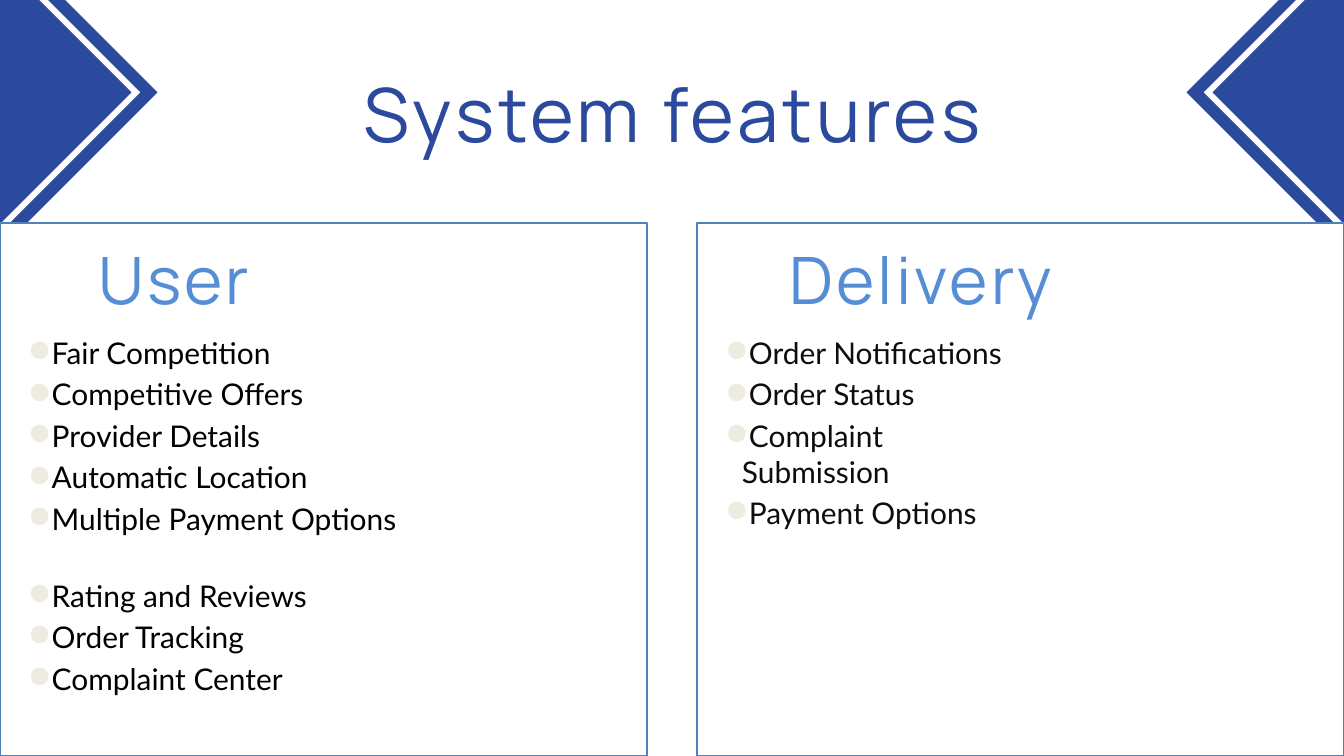
from lxml.etree import SubElement
from pptx import Presentation
from pptx.dml.color import RGBColor
from pptx.enum.shapes import MSO_SHAPE as Shape
from pptx.enum.text import PP_ALIGN as Align
from pptx.oxml.ns import qn
from pptx.util import Pt

PX = 9525
WIDTH, HEIGHT = 1920, 1080
NAVY, SKY, BORDER, WHITE = "2B4A9D", "558ED5", "4F81BD", "FFFFFF"
BULLET = "EEECE1"

TITLE = "System features"
CORNER_CENTERS = [(-4, 132), (1924, 132)]
SQUARE, FRAME, FRAME_BAND = 324, 289, 0.03
PANEL_TOP, PANEL_WIDTH = 318, 924
HEADING_TOP, LIST_TOP, INSET = 356, 478, 35
GAP, GROUP_GAP = 6, 44

PANELS = [
    {
        "left": WIDTH - PANEL_WIDTH, "heading": "Delivery", "color": "0D0D0D",
        "heading_width": 569, "list_size": (427, 282),
        "groups": [["Order Notifications", "Order Status",
                    "Complaint Submission", "Payment Options"]],
    },
    {
        "left": 0, "heading": "User", "color": "000000",
        "heading_width": 427, "list_size": (630, 521),
        "groups": [["Fair Competition", "Competitive Offers", "Provider Details",
                    "Automatic Location", "Multiple Payment Options"],
                   ["Rating and Reviews", "Order Tracking", "Complaint Center"]],
    },
]


def rgb(color):
    return RGBColor.from_string(color)


def add_block(page, kind, left, top, width, height, fill, line=None):
    block = page.shapes.add_shape(kind, *(round(v * PX) for v in (left, top, width, height)))
    block.shadow.inherit = False
    block.fill.solid()
    block.fill.fore_color.rgb = rgb(fill)
    if line:
        block.line.color.rgb = rgb(line)
        block.line.width = Pt(2)
    else:
        block.line.fill.background()
    return block


def add_corner(page, x, y):
    for kind, side, color in [(Shape.RECTANGLE, SQUARE, NAVY), (Shape.FRAME, FRAME, WHITE)]:
        block = add_block(page, kind, x - side / 2, y - side / 2, side, side, color)
        block.rotation = 45
        if kind == Shape.FRAME:
            block.adjustments[0] = FRAME_BAND


def add_frame(page, left, top, width, height):
    box = page.shapes.add_textbox(*(v * PX for v in (left, top, width, height)))
    frame = box.text_frame
    frame.word_wrap = True
    frame.margin_left = frame.margin_right = frame.margin_top = frame.margin_bottom = 0
    return frame


def add_span(para, text, font, size, color, tracking=0):
    span = para.add_run()
    span.text = text
    span.font.name = font
    span.font.size = Pt(size)
    span.font.color.rgb = rgb(color)
    if tracking:
        span.font._element.set("spc", str(round(tracking * 100)))


def add_heading(page, area, text, size, color):
    para = add_frame(page, *area).paragraphs[0]
    para.alignment = Align.CENTER
    para.line_spacing = Pt(size * 1.05)
    add_span(para, text, "Manrope", size, color, size / 20)


def add_bullet(para):
    props = para._p.get_or_add_pPr()
    props.set("marL", str(29 * PX))
    props.set("indent", str(-24 * PX))
    SubElement(SubElement(props, qn("a:buClr")), qn("a:srgbClr")).set("val", BULLET)
    SubElement(props, qn("a:buChar")).set("char", "●")


def add_list(page, area, groups, color):
    frame = add_frame(page, *area)
    for group_index, group in enumerate(groups):
        for index, item in enumerate(group):
            first = group_index == index == 0
            para = frame.paragraphs[0] if first else frame.add_paragraph()
            add_bullet(para)
            if not first:
                para.space_before = Pt(GAP if index else GROUP_GAP)
            add_span(para, item, "Lato", 32, color)


def main():
    """Build the system features slide."""
    deck = Presentation()
    deck.slide_width, deck.slide_height = WIDTH * PX, HEIGHT * PX
    page = deck.slides.add_slide(deck.slide_layouts[6])

    for x, y in CORNER_CENTERS:
        add_corner(page, x, y)
    for panel in PANELS:
        add_block(page, Shape.RECTANGLE, panel["left"], PANEL_TOP, PANEL_WIDTH,
                  HEIGHT - PANEL_TOP, WHITE, BORDER)
    add_heading(page, (156, 113, 1609, 115), TITLE, 80, NAVY)
    for panel in PANELS:
        left = panel["left"] + INSET
        add_heading(page, (left, HEADING_TOP, panel["heading_width"], 100),
                    panel["heading"], 70, SKY)
        add_list(page, (left, LIST_TOP, *panel["list_size"]), panel["groups"], panel["color"])

    deck.save("out.pptx")


if __name__ == "__main__":
    main()
